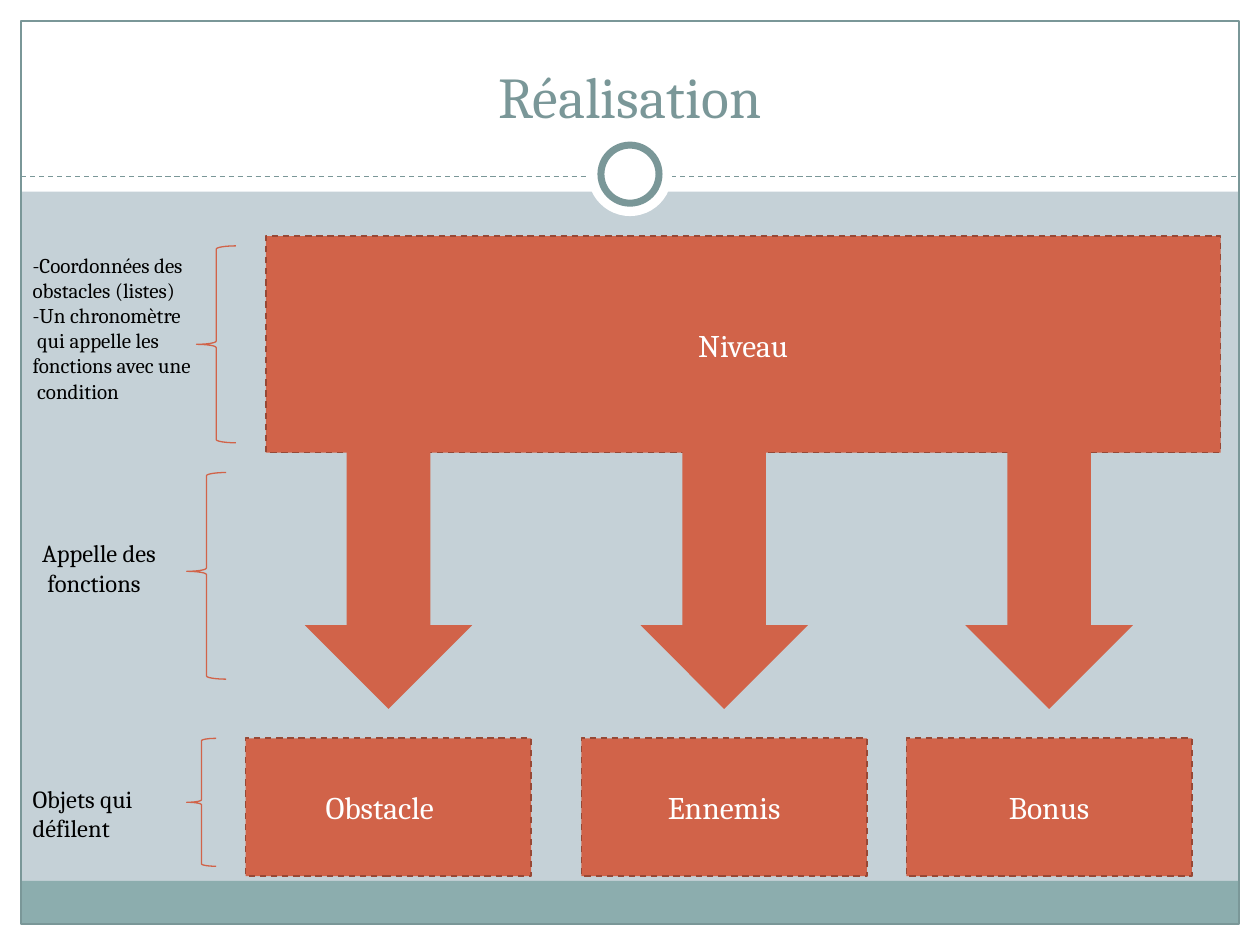
from dataclasses import dataclass
from typing import Optional

from pptx import Presentation
from pptx.dml.color import RGBColor
from pptx.enum.dml import MSO_LINE
from pptx.enum.shapes import MSO_CONNECTOR, MSO_SHAPE as SHAPE
from pptx.enum.text import MSO_ANCHOR as ANCHOR, MSO_AUTO_SIZE, PP_ALIGN as ALIGN
from pptx.oxml.ns import qn
from pptx.util import Pt
from lxml.etree import SubElement

WHITE = RGBColor(0xFF, 0xFF, 0xFF)
BLACK = RGBColor(0, 0, 0)
MIST = RGBColor(0xC5, 0xD1, 0xD7)
TEAL = RGBColor(0x8C, 0xAD, 0xAE)
SLATE = RGBColor(0x7A, 0x97, 0x98)
ORANGE = RGBColor(0xD1, 0x63, 0x49)
BROWN = RGBColor(0x98, 0x48, 0x35)
FONT = "Cambria"
W, H = 720, 540
MARGIN = 12


@dataclass
class Box:
    left: float
    top: float
    width: float
    height: float

    def emu(self) -> tuple:
        return Pt(self.left), Pt(self.top), Pt(self.width), Pt(self.height)


@dataclass
class Stroke:
    color: RGBColor
    width: float = 0.75
    dash: Optional[MSO_LINE] = None


@dataclass
class Brace:
    kind: SHAPE
    box: Box
    tip: float = 0.5
    rotation: int = 0


@dataclass
class Note:
    box: Box
    size: int
    lines: tuple


def set_stroke(line, stroke: Stroke) -> None:
    line.color.rgb = stroke.color
    line.width = Pt(stroke.width)
    if stroke.dash:
        line.dash_style = stroke.dash


def draw(s, kind, box: Box, fill: Optional[RGBColor] = None,
         stroke: Optional[Stroke] = None):
    sp = s.shapes.add_shape(kind, *box.emu())
    sp.shadow.inherit = False
    if fill is None:
        sp.fill.background()
    else:
        sp.fill.solid()
        sp.fill.fore_color.rgb = fill
    if stroke:
        set_stroke(sp.line, stroke)
    else:
        sp.line.fill.background()
    return sp


def write(tf, lines: tuple, size: float, color: RGBColor, align, anchor) -> None:
    frame = {"word_wrap": True, "auto_size": MSO_AUTO_SIZE.NONE,
             "vertical_anchor": anchor}
    for name, value in frame.items():
        setattr(tf, name, value)
    for i, line in enumerate(lines):
        p = tf.paragraphs[0] if i == 0 else tf.add_paragraph()
        p.alignment = align
        r = p.add_run()
        r.text = line
        for name, value in {"name": FONT, "size": Pt(size)}.items():
            setattr(r.font, name, value)
        r.font.color.rgb = color


def draw_block(s, box: Box, label: str) -> None:
    sp = draw(s, SHAPE.RECTANGLE, box, ORANGE, Stroke(BROWN, 0.9, MSO_LINE.DASH))
    write(sp.text_frame, (label,), 18, WHITE, ALIGN.CENTER, ANCHOR.MIDDLE)


def draw_brace(s, brace: Brace) -> None:
    sp = draw(s, brace.kind, brace.box, stroke=Stroke(ORANGE))
    sp.adjustments[0], sp.adjustments[1] = 0.083, brace.tip
    sp.rotation = brace.rotation


def draw_note(s, note: Note) -> None:
    sp = s.shapes.add_textbox(*note.box.emu())
    write(sp.text_frame, note.lines, note.size, BLACK, ALIGN.LEFT, ANCHOR.TOP)


def draw_frame(s) -> None:
    inner = W - 2 * MARGIN
    for box, fill in (
        (Box(0, H - MARGIN, W, MARGIN), WHITE),
        (Box(0, 0, W, 109.5), WHITE),
        (Box(0, 0, MARGIN, H), WHITE),
        (Box(W - MARGIN, 0, MARGIN, H), WHITE),
        (Box(MARGIN, 503.3, inner, 24.7), TEAL),
    ):
        draw(s, SHAPE.RECTANGLE, box, fill)
    draw(s, SHAPE.RECTANGLE, Box(MARGIN, MARGIN, inner, H - 2 * MARGIN),
         stroke=Stroke(SLATE))

    y = Pt(100.8)
    rule = s.shapes.add_connector(MSO_CONNECTOR.STRAIGHT, Pt(MARGIN), y,
                                  Pt(W - MARGIN), y)
    set_stroke(rule.line, Stroke(SLATE, dash=MSO_LINE.DASH))
    SubElement(rule.element.spPr, qn("a:effectLst"))

    for size, stroke in ((48, None), (33.2, Stroke(SLATE, 4))):
        draw(s, SHAPE.OVAL, Box((W - size) / 2, 99.5 - size / 2, size, size),
             WHITE, stroke)


# Called objects: label and centre of each column
COLUMNS = (("Obstacle\t", 222), ("Ennemis", 413.8), ("Bonus", 599.5))
BRACES = (
    Brace(SHAPE.LEFT_BRACE, Box(112.3, 140.5, 22.5, 112.5)),
    Brace(SHAPE.RIGHT_BRACE, Box(106.7, 270, 22.5, 118.1), 0.522, 180),
    Brace(SHAPE.LEFT_BRACE, Box(106.7, 421.9, 16.9, 73.1)),
)
NOTES = (
    Note(Box(11.5, 140.5, 118, 94.5), 12,
         ("-Coordonnées des", "obstacles (listes)", "-Un chronomètre",
          " qui appelle les", "fonctions avec une", " condition")),
    Note(Box(17, 304, 86.4, 41), 14, ("Appelle des", " fonctions")),
    Note(Box(11.5, 444.4, 82, 41), 14, ("Objets qui", "défilent")),
)


def main() -> None:
    prs = Presentation()
    prs.slide_width, prs.slide_height = Pt(W), Pt(H)
    s = prs.slides.add_slide(prs.slide_layouts[5])
    s.background.fill.solid()
    s.background.fill.fore_color.rgb = MIST
    draw_frame(s)

    # Title, raised above the white header band
    title = s.shapes.title
    title.left, title.top, title.width, title.height = Box(24, 18, 672, 60).emu()
    write(title.text_frame, ("Réalisation",), 33, SLATE, ALIGN.CENTER, ANCHOR.BOTTOM)
    title.element.getparent().append(title.element)

    # Level, arrows and called objects
    draw_block(s, Box(151.9, 134.9, 545.6, 123.8), "Niveau")
    for _, x in COLUMNS:
        draw(s, SHAPE.DOWN_ARROW, Box(x - 47.8, 253.2, 95.6, 151.9), ORANGE)
    for label, x in COLUMNS:
        draw_block(s, Box(x - 81.6, 421.9, 163.2, 78.8), label)

    # Side comments
    for brace in BRACES:
        draw_brace(s, brace)
    for note in NOTES:
        draw_note(s, note)

    prs.save("out.pptx")


if __name__ == "__main__":
    main()
